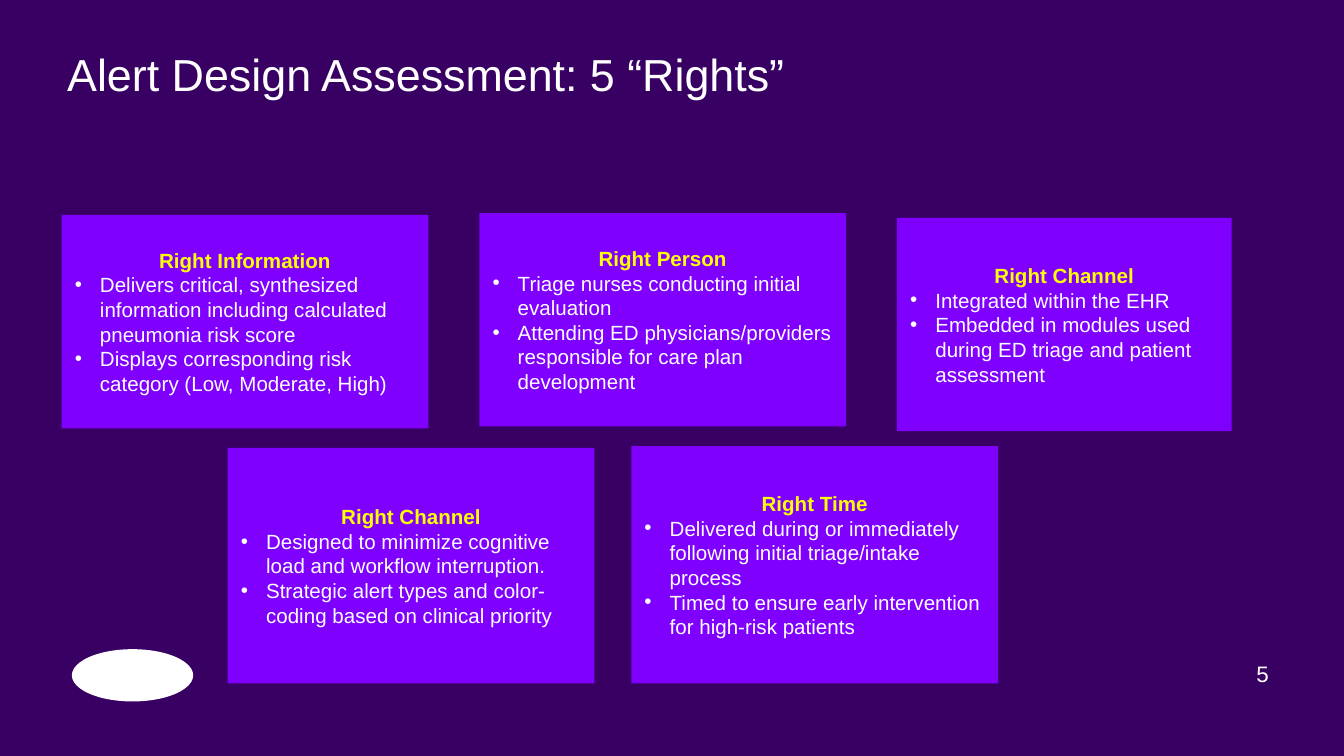
"""Build the slide on the five "rights" of alert design."""
from lxml.etree import SubElement
from pptx import Presentation
from pptx.dml.color import RGBColor
from pptx.enum.shapes import MSO_SHAPE
from pptx.enum.text import MSO_ANCHOR, PP_ALIGN
from pptx.oxml.ns import qn
from pptx.util import Pt

BACKGROUND = RGBColor(0x38, 0x00, 0x63)
VIOLET = RGBColor(0x80, 0x00, 0xFF)
YELLOW = RGBColor(0xFF, 0xFF, 0x00)
WHITE = RGBColor(0xFF, 0xFF, 0xFF)
FONT = "Arial"
BULLET_INDENT = Pt(13.5)

TITLE = "Alert Design Assessment: 5 “Rights”"
PAGE_NUMBER = "5"
CARDS = [
    ((33, 115.2, 196.5, 114.3), "Right Information", [
        "Delivers critical, synthesized information including calculated pneumonia risk score",
        "Displays corresponding risk category (Low, Moderate, High)",
    ]),
    ((256.8, 114.2, 196.5, 114.3), "Right Person", [
        "Triage nurses conducting initial evaluation",
        "Attending ED physicians/providers responsible for care plan development",
    ]),
    ((480.5, 116.8, 179.3, 114.3), "Right Channel", [
        "Integrated within the EHR",
        "Embedded in modules used during ED triage and patient assessment",
    ]),
    ((122, 240, 196.5, 126.2), "Right Channel", [
        "Designed to minimize cognitive load and workflow interruption.",
        "Strategic alert types and color-coding based on clinical priority",
    ]),
    ((338.2, 239, 196.5, 127.2), "Right Time", [
        "Delivered during or immediately following initial triage/intake process",
        "Timed to ensure early intervention for high-risk patients",
    ]),
]


def style_text(paragraph, size, color, bold=False):
    for run in paragraph.runs:
        run.font.name = FONT
        run.font.size = Pt(size)
        run.font.bold = bold
        run.font.color.rgb = color


def add_box(slide, shape_type, bounds, fill):
    shape = slide.shapes.add_shape(shape_type, *map(Pt, bounds))
    shape.shadow.inherit = False
    shape.fill.solid()
    shape.fill.fore_color.rgb = fill
    shape.line.fill.background()
    return shape


def add_label(slide, bounds, text, size, alignment, anchor):
    text_frame = slide.shapes.add_textbox(*map(Pt, bounds)).text_frame
    text_frame.word_wrap = True
    text_frame.margin_left = text_frame.margin_right = 0
    text_frame.margin_top = text_frame.margin_bottom = 0
    text_frame.vertical_anchor = anchor
    text_frame.text = text
    paragraph = text_frame.paragraphs[0]
    paragraph.alignment = alignment
    style_text(paragraph, size, WHITE)


def add_bullet(paragraph):
    properties = paragraph._p.get_or_add_pPr()
    properties.set("marL", str(BULLET_INDENT))
    properties.set("indent", str(-BULLET_INDENT))
    SubElement(properties, qn("a:buFont"), typeface=FONT)
    SubElement(properties, qn("a:buChar"), char="•")


def add_card(slide, bounds, heading, points):
    text_frame = add_box(slide, MSO_SHAPE.RECTANGLE, bounds, VIOLET).text_frame
    text_frame.word_wrap = True
    text_frame.vertical_anchor = MSO_ANCHOR.MIDDLE
    text_frame.text = heading
    text_frame.paragraphs[0].alignment = PP_ALIGN.CENTER
    style_text(text_frame.paragraphs[0], 11, YELLOW, bold=True)
    for point in points:
        paragraph = text_frame.add_paragraph()
        paragraph.text = point
        paragraph.alignment = PP_ALIGN.LEFT
        add_bullet(paragraph)
        style_text(paragraph, 11, WHITE)


def main():
    presentation = Presentation()
    presentation.slide_width = Pt(720)
    presentation.slide_height = Pt(405)
    slide = presentation.slides.add_slide(presentation.slide_layouts[6])
    slide.background.fill.solid()
    slide.background.fill.fore_color.rgb = BACKGROUND

    add_box(slide, MSO_SHAPE.OVAL, (38.5, 347.8, 65, 28), WHITE)
    add_label(slide, (657.4, 355.7, 22.3, 10.8), PAGE_NUMBER, 12, PP_ALIGN.RIGHT, MSO_ANCHOR.MIDDLE)
    add_label(slide, (36, 25.2, 572.4, 61.2), TITLE, 24, PP_ALIGN.LEFT, MSO_ANCHOR.TOP)
    for bounds, heading, points in CARDS:
        add_card(slide, bounds, heading, points)

    presentation.save("out.pptx")


if __name__ == "__main__":
    main()
